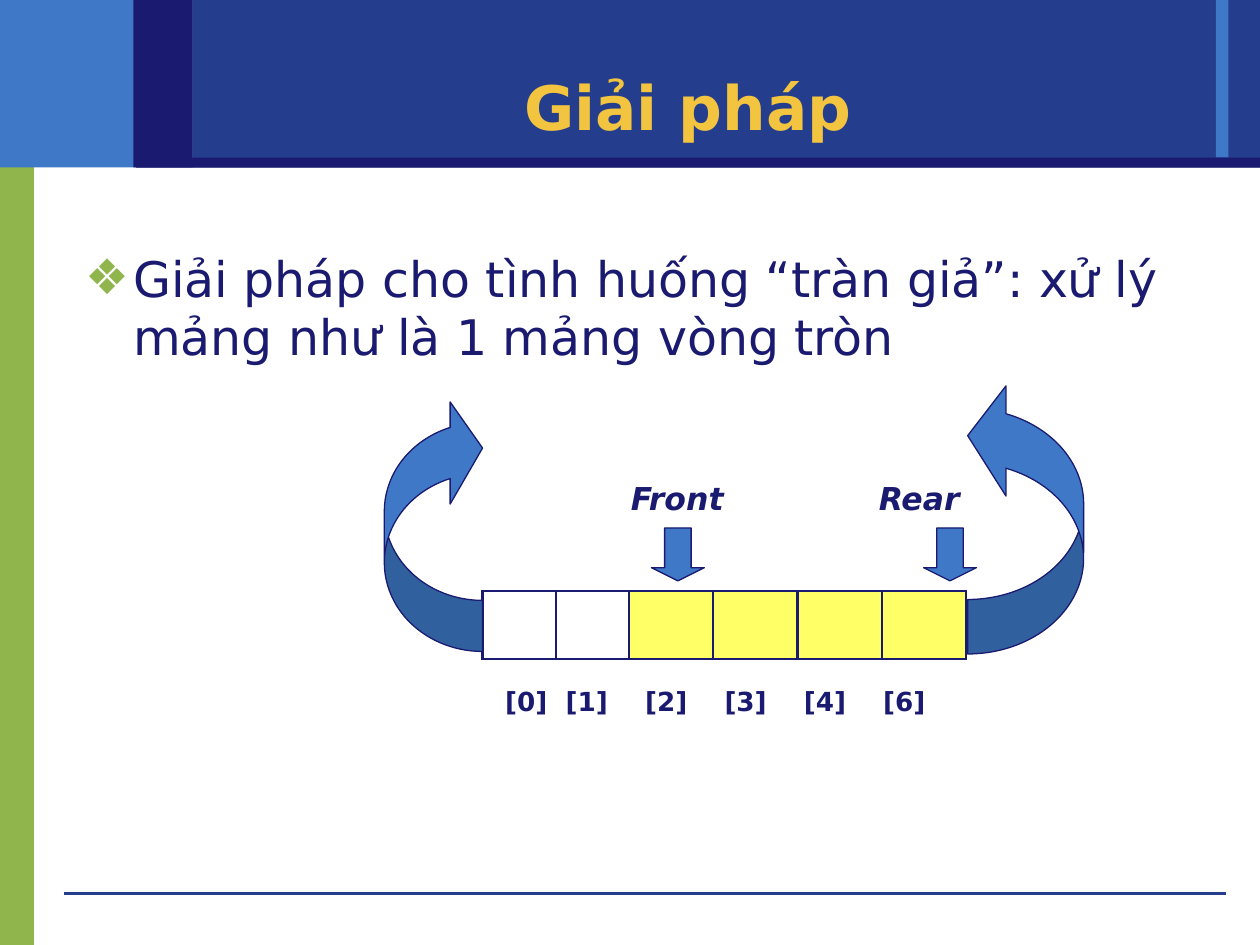
from lxml.etree import SubElement
from pptx import Presentation
from pptx.dml.color import RGBColor
from pptx.enum.shapes import MSO_CONNECTOR, MSO_SHAPE as Shape
from pptx.enum.text import MSO_ANCHOR as Anchor, PP_ALIGN as Align
from pptx.oxml.ns import qn
from pptx.util import Inches, Pt

THEME = {
    "font": "DejaVu Sans",
    "navy": "1A1A70", "royal": "243D8C", "sky": "3E78C6",
    "green": "90B54D", "gold": "F3C43F", "yellow": "FFFF66",
    "border": 1.47, "outline": 0.75, "hairline": 0,
}
STYLES = {
    "title": {"size": 35, "color": "gold", "bold": True},
    "body": {"size": 28, "color": "navy"},
    "pointer": {"size": 18, "color": "navy", "bold": True, "italic": True},
    "index": {"size": 15, "color": "navy", "bold": True},
}

TITLE = "Giải pháp"
BODY = "Giải pháp cho tình huống “tràn giả”: xử lý mảng như là 1 mảng vòng tròn"
BANDS = [
    ("green", (0, 1.07, 0.27, 6.43)),
    ("sky", (0, 0, 1.53, 1.33)),
    ("royal", (1.53, 0, 8.47, 1.33)),
    ("sky", (9.65, 0, 0.1, 1.25)),
    ("navy", (1.08, 1.25, 8.92, 0.08)),
    ("navy", (1.06, 0, 0.47, 1.33)),
]
QUEUE_BOX = (3.83, 4.69, 3.83, 1.06)
QUEUE_ROWS = (0.54, 0.52)
QUEUE_CELLS = [  # index label, width, fill
    ("[0]", 0.58, None), ("[1]", 0.58, None),
    ("[2]", 0.67, "yellow"), ("[3]", 0.67, "yellow"),
    ("[4]", 0.67, "yellow"), ("[6]", 0.67, "yellow"),
]
FIRST_TAB, TAB_STEP = 0.48, 0.63
POINTERS = [("Rear", 6.67, 7.33), ("Front", 4.75, 5.17)]  # label left, arrow left
WRAP_ARROWS = [  # shape, box, rotation, adjustments
    (Shape.CURVED_RIGHT_ARROW, (7.68, 3.02, 0.92, 2.17), 180, (0.47, 0.95, 0.33)),
    (Shape.CURVED_DOWN_ARROW, (2.43, 3.77, 2.02, 0.78), 270, (0.52, 1.04, 0.33)),
]


def color(name):
    return RGBColor.from_string(THEME[name])


def inches(values):
    return [Inches(value) for value in values]


def write(para, text, style):
    span = para.add_run()
    span.text = text
    formats = {"name": THEME["font"], **STYLES[style]}
    formats["size"] = Pt(formats["size"])
    span.font.color.rgb = color(formats.pop("color"))
    for key, value in formats.items():
        setattr(span.font, key, value)


def add_text(slide, box, text, style, align=None, anchor=Anchor.TOP):
    frame = slide.shapes.add_textbox(*inches(box)).text_frame
    frame.word_wrap = True
    frame.vertical_anchor = anchor
    para = frame.paragraphs[0]
    para.alignment = align
    write(para, text, style)
    return para


def add_filled(slide, kind, box, fill, outline=None):
    shape = slide.shapes.add_shape(kind, *inches(box))
    shape.shadow.inherit = False
    shape.fill.solid()
    shape.fill.fore_color.rgb = color(fill)
    if outline:
        shape.line.color.rgb = color(outline)
        shape.line.width = Pt(THEME["outline"])
    else:
        shape.line.fill.background()
    return shape


def add_footer_rule(slide):
    rule = slide.shapes.add_connector(
        MSO_CONNECTOR.STRAIGHT, *inches((0.51, 7.09, 9.73, 7.09)))
    rule.line.color.rgb = color("royal")
    rule.line.width = Pt(THEME["hairline"])
    SubElement(rule._element.spPr, qn("a:effectLst"))


def add_bullet(para, symbol, bullet_color, indent):
    properties = para._p.get_or_add_pPr()
    properties.set("marL", str(Inches(indent)))
    properties.set("indent", str(-Inches(indent)))
    holder = SubElement(properties, qn("a:buClr"))
    SubElement(holder, qn("a:srgbClr"), val=THEME[bullet_color])
    SubElement(properties, qn("a:buFont"), typeface=THEME["font"])
    SubElement(properties, qn("a:buChar"), char=symbol)


def add_tabs(para, positions):
    tabs = SubElement(para._p.get_or_add_pPr(), qn("a:tabLst"))
    for position in positions:
        SubElement(tabs, qn("a:tab"), pos=str(Inches(position)), algn="l")


def style_cell(cell, sides, fill=None):
    """Draw the borders named in sides (letters of LRTB) and set the fill."""
    properties = cell._tc.get_or_add_tcPr()
    for side in "LRTB":
        line = SubElement(properties, qn(f"a:ln{side}"), w=str(Pt(THEME["border"])))
        if side in sides:
            paint = SubElement(line, qn("a:solidFill"))
            SubElement(paint, qn("a:srgbClr"), val=THEME["navy"])
        else:
            SubElement(line, qn("a:noFill"))
    if fill:
        cell.fill.solid()
        cell.fill.fore_color.rgb = color(fill)
    else:
        cell.fill.background()


def add_queue(slide):
    count = len(QUEUE_CELLS)
    table = slide.shapes.add_table(2, count, *inches(QUEUE_BOX)).table
    table.first_row = table.horz_banding = False
    for row, height in zip(table.rows, QUEUE_ROWS):
        row.height = Inches(height)
    for column, (_, width, fill) in enumerate(QUEUE_CELLS):
        table.columns[column].width = Inches(width)
        style_cell(table.cell(0, column), "LRTB", fill)
        style_cell(table.cell(1, column), "T")

    labels = table.cell(1, 0)
    labels.merge(table.cell(1, count - 1))
    labels.margin_left, labels.margin_top = inches((0.18, 0.22))
    para = labels.text_frame.paragraphs[0]
    add_tabs(para, [FIRST_TAB + TAB_STEP * step for step in range(count - 1)])
    write(para, "\t".join(label for label, _, _ in QUEUE_CELLS), "index")


def main():
    deck = Presentation()
    deck.slide_width, deck.slide_height = inches((10, 7.5))
    slide = deck.slides.add_slide(deck.slide_layouts[6])

    for fill, box in BANDS:
        add_filled(slide, Shape.RECTANGLE, box, fill)
    add_footer_rule(slide)
    add_text(slide, (1.5, 0.51, 7.92, 0.66), TITLE, "title", Align.CENTER, Anchor.MIDDLE)
    body = add_text(slide, (0.58, 1.92, 8.75, 4.67), BODY, "body")
    add_bullet(body, "❖", "green", 0.38)

    add_queue(slide)
    for label, label_left, arrow_left in POINTERS:
        add_text(slide, (label_left, 3.75, 1.25, 0.4), label, "pointer", Align.CENTER)
        add_filled(slide, Shape.DOWN_ARROW, (arrow_left, 4.19, 0.42, 0.42), "sky", "navy")
        slide.shapes[-1].adjustments[1] = 0.25
    for kind, box, rotation, adjustments in WRAP_ARROWS:
        arrow = add_filled(slide, kind, box, "sky", "navy")
        arrow.rotation = rotation
        for position, value in enumerate(adjustments):
            arrow.adjustments[position] = value

    deck.save("out.pptx")


if __name__ == "__main__":
    main()
